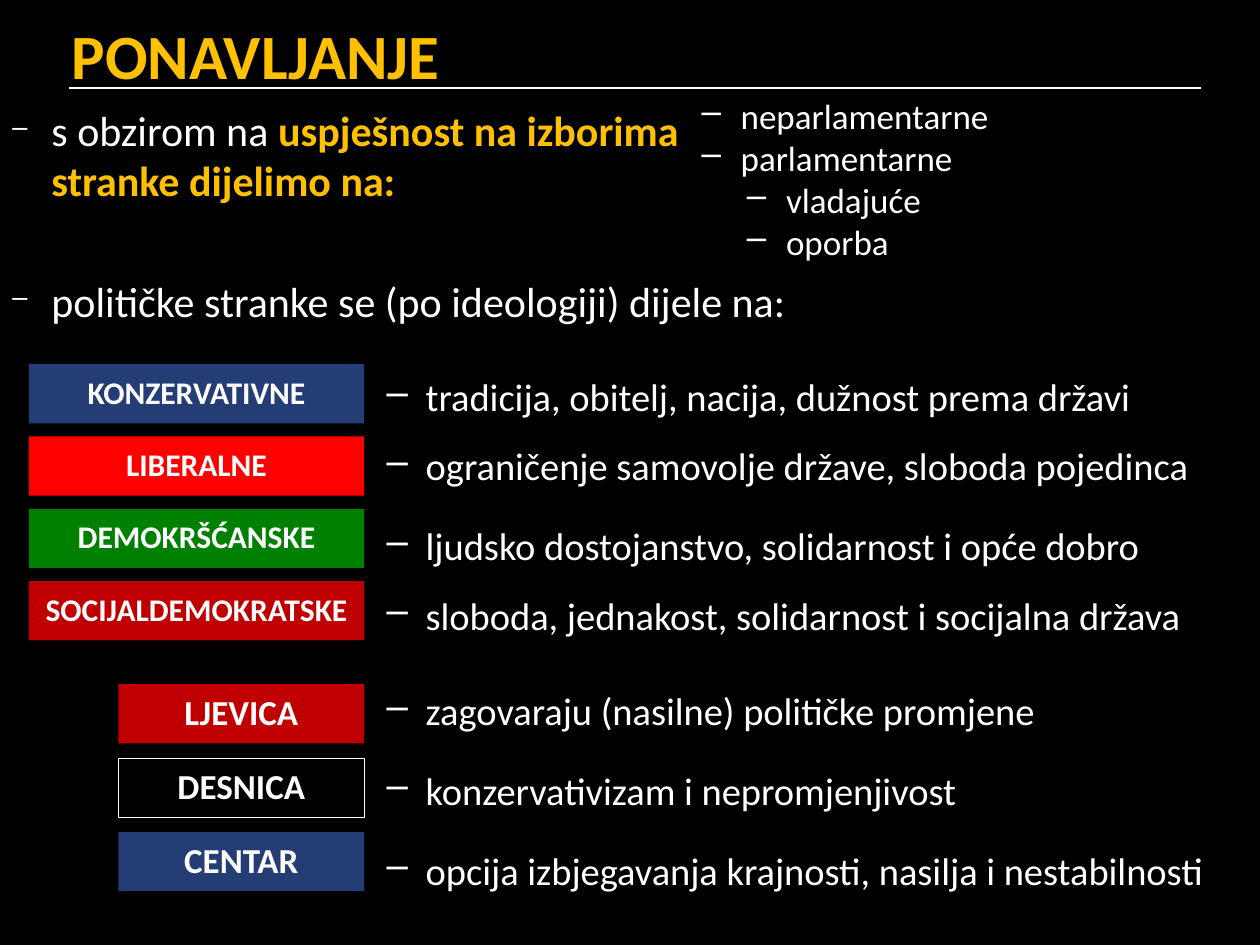
from lxml.etree import SubElement as Sub
from pptx import Presentation
from pptx.dml.color import RGBColor as Rgb
from pptx.enum.shapes import MSO_CONNECTOR as Conn, MSO_SHAPE as Kind
from pptx.enum.text import MSO_ANCHOR as Anchor, PP_ALIGN as Align
from pptx.oxml.ns import qn
from pptx.util import Inches, Pt

BLACK = Rgb(0, 0, 0)
WHITE = Rgb(255, 255, 255)
GOLD = Rgb(255, 192, 0)
NAVY = Rgb(0x25, 0x3D, 0x75)
RED = Rgb(255, 0, 0)
GREEN = Rgb(0, 128, 0)
WINE = Rgb(192, 0, 0)

deck = Presentation()
deck.slide_width, deck.slide_height = Inches(10), Inches(7.5)
col, row = deck.slide_width // 100, deck.slide_height // 75
slide = deck.slides.add_slide(deck.slide_layouts[6])
slide.background.fill.solid()
slide.background.fill.fore_color.rgb = BLACK


def style(run, size, color=WHITE, bold=False):
    run.font.name = "Calibri"
    run.font.size = Pt(size)
    run.font.bold = bold
    run.font.color.rgb = color


def add_list(x, y, w, h, items, size, space=1.0, dot=100):
    frame = slide.shapes.add_textbox(
        int(x * col), int(y * row), int(w * col), int(h * row)).text_frame
    frame.word_wrap = True
    for i, (text, level, gap) in enumerate(items):
        para = frame.paragraphs[0] if i == 0 else frame.add_paragraph()
        para.text = text
        para.level = level
        props = para._p.get_or_add_pPr()
        props.set("marL", str(Inches(0.31 + 0.36 * level)))
        props.set("indent", str(-Inches(0.31)))
        tint = Sub(props, qn("a:buClr"))
        Sub(tint, qn("a:srgbClr")).set("val", str(WHITE))
        Sub(props, qn("a:buSzPct")).set("val", str(dot * 1000))
        Sub(props, qn("a:buChar")).set("char", "–")
        para.line_spacing = space
        para.space_before = Pt(gap)
        for run in para.runs:
            style(run, size)
    return frame


rule = slide.shapes.add_connector(
    Conn.STRAIGHT, int(5.5 * col), 7 * row, int(95.3 * col), 7 * row)
rule.line.color.rgb = WHITE
rule.line.width = Pt(1)
Sub(rule._element.spPr, qn("a:effectLst"))

title = slide.shapes.add_textbox(
    int(4.7 * col), int(0.8 * row), int(95.3 * col), int(6.3 * row)).text_frame
title.word_wrap = True
title.text = "PONAVLJANJE"
style(title.paragraphs[0].runs[0], 36, GOLD, True)

body = add_list(0, 7.8, 100, 64.8, [
    ("s obzirom na ", 0, 0),
    ("političke stranke se (po ideologiji) dijele na:", 0, 40),
], 24, dot=65)
first = body.paragraphs[0]
for i, text in enumerate(["uspješnost na izborima", "stranke dijelimo na:"]):
    if i:
        first.add_line_break()
    run = first.add_run()
    run.text = text
    style(run, 24, GOLD, True)

add_list(54.7, 7, 32, 14.5, [
    ("neparlamentarne", 0, 0),
    ("parlamentarne", 0, 0),
    ("vladajuće", 1, 0),
    ("oporba", 1, 0),
], 20)
add_list(29.7, 27.3, 68.8, 24.9, [
    ("tradicija, obitelj, nacija, dužnost prema državi", 0, 0),
    ("ograničenje samovolje države, sloboda pojedinca", 0, 0),
    ("ljudsko dostojanstvo, solidarnost i opće dobro", 0, 6),
    ("sloboda, jednakost, solidarnost i socijalna država", 0, 0),
], 22, 1.5)
add_list(29.7, 52.2, 68.8, 18.8, [
    ("zagovaraju (nasilne) političke promjene", 0, 0),
    ("konzervativizam i nepromjenjivost", 0, 6),
    ("opcija izbjegavanja krajnosti, nasilja i nestabilnosti", 0, 6),
], 22, 1.5)

groups = [
    (2.3, 28.9, 26.6, 5.74, 18, [
        ("KONZERVATIVNE", NAVY), ("LIBERALNE", RED),
        ("DEMOKRŠĆANSKE", GREEN), ("SOCIJALDEMOKRATSKE", WINE)]),
    (9.4, 54.3, 19.5, 5.87, 20, [
        ("LJEVICA", WINE), ("DESNICA", BLACK), ("CENTAR", NAVY)]),
]
for x, y, w, step, size, tags in groups:
    for i, (text, color) in enumerate(tags):
        box = slide.shapes.add_shape(
            Kind.RECTANGLE, int(x * col), int((y + i * step) * row),
            int(w * col), int(4.7 * row))
        box.shadow.inherit = False
        box.fill.solid()
        box.fill.fore_color.rgb = color
        if color == BLACK:
            box.line.color.rgb = WHITE
            box.line.width = Pt(0.25)
        else:
            box.line.fill.background()
        frame = box.text_frame
        frame.margin_left = frame.margin_right = 0
        frame.vertical_anchor = Anchor.MIDDLE
        frame.text = text
        para = frame.paragraphs[0]
        para.alignment = Align.CENTER
        para.line_spacing = 0.93
        style(para.runs[0], size, WHITE, True)

deck.save("out.pptx")
